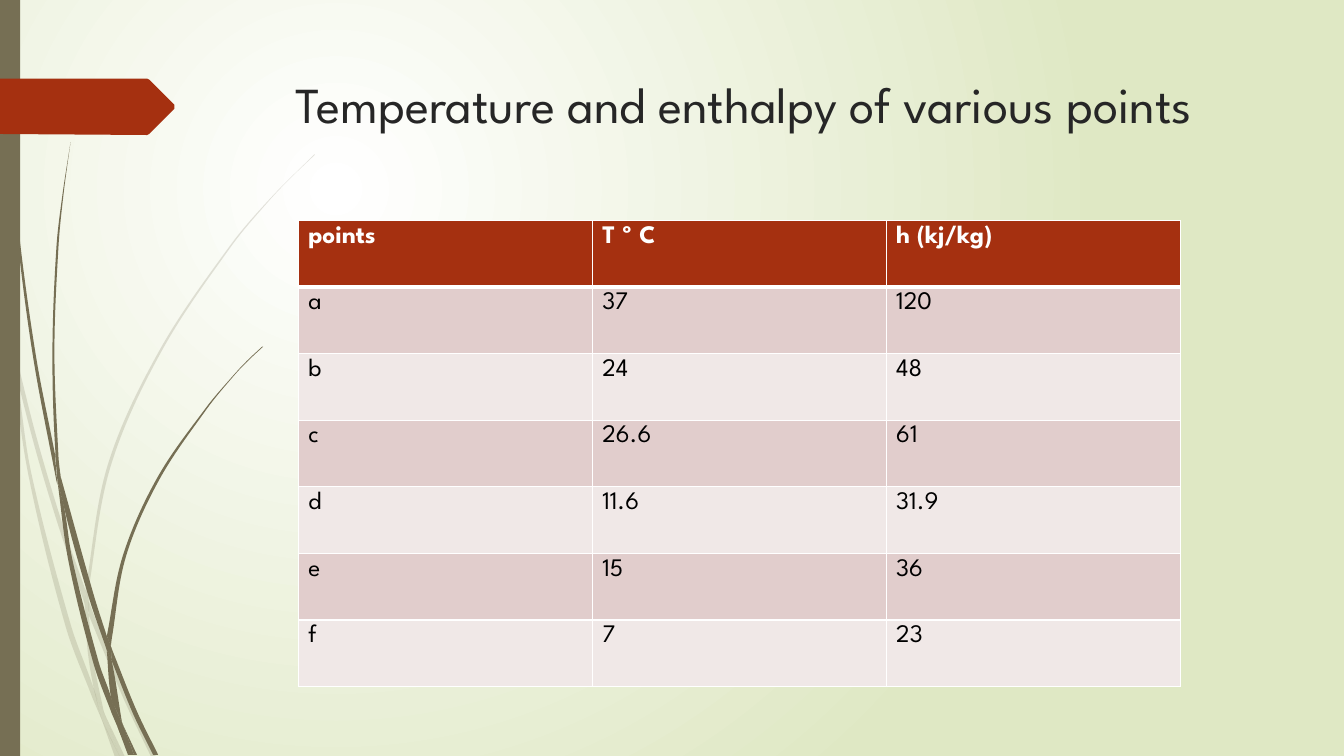
"""Build a slide with a table of temperature and enthalpy at six points."""
from dataclasses import dataclass
from math import dist

from lxml.etree import SubElement
from pptx import Presentation
from pptx.dml.color import RGBColor
from pptx.enum.shapes import MSO_SHAPE
from pptx.enum.text import MSO_ANCHOR
from pptx.oxml.ns import qn
from pptx.util import Pt


@dataclass(frozen=True)
class Theme:
    font: str = "League Spartan"
    title_size: int = 36
    cell_size: int = 18
    title: str = "262626"
    text: str = "000000"
    white: str = "FFFFFF"
    glow_edge: str = "DFE8C4"
    stem: str = "766F54"
    accent: str = "A53010"
    bands: tuple = ("E1CDCC", "F0E8E7")


THEME = Theme()
TITLE = "Temperature and enthalpy of various points"
ROWS = [
    ("points", "T º C", "h (kj/kg)"),
    ("a", "37", "120"),
    ("b", "24", "48"),
    ("c", "26.6", "61"),
    ("d", "11.6", "31.9"),
    ("e", "15", "36"),
    ("f", "7", "23"),
]
TABLE_BOX = (213, 157.5, 630, 333)

# Outlines are lists of smooth edges, on a grid of this many points.
GRID = 0.72
RIBBON = [[(0, 78), (146, 78)], [(148, 79), (173, 104)],
          [(173, 108), (148, 133)], [(146, 134), (0, 133)]]
FAINT_STEMS = [
    [[(0, 282), (9, 322), (11, 350)], [(10, 344), (0, 299)]],
    [[(17, 376), (36, 449), (58, 522), (84, 599)],
     [(85, 586), (62, 520), (36, 433), (14, 345)]],
    [[(88, 596), (92, 607), (127, 692), (155, 751)], [(150, 751), (123, 694), (88, 610)]],
    [[(105, 711), (124, 751)], [(119, 751), (105, 711)]],
    [[(11, 350), (17, 376), (31, 469), (70, 619), (93, 683), (99, 707), (101, 714)],
     [(92, 693), (65, 621), (28, 470), (11, 350)]],
    [[(84, 599), (88, 610), (91, 646), (103, 706), (105, 711)],
     [(96, 692), (93, 683), (87, 646), (84, 599)]],
    [[(312, 153), (268, 197), (228, 244), (158, 348), (107, 461), (85, 584), (85, 586)],
     [(88, 596), (88, 584), (110, 462), (160, 349), (229, 245), (268, 198), (290, 175),
      (312, 154)]],
    [[(101, 714), (114, 751)], [(119, 751), (101, 714)]],
    [[(85, 586), (88, 596), (88, 610)], [(88, 608), (84, 599)]],
    [[(93, 683), (99, 707), (101, 714), (119, 751)], [(105, 711), (96, 692)]],
]
DARK_STEMS = [
    [[(3, 0), (4, 48), (7, 110), (17, 233), (33, 355), (56, 477), (57, 481)],
     [(55, 457), (55, 453), (36, 355), (19, 232), (8, 109), (5, 48), (4, 0)]],
    [[(60, 472), (64, 505), (88, 592), (106, 645)], [(106, 631), (93, 590), (60, 472)]],
    [[(110, 641), (113, 649), (136, 706), (157, 749)], [(152, 749), (132, 708), (111, 656)]],
    [[(57, 477), (64, 505), (72, 556), (98, 657), (110, 691), (116, 717), (117, 722)],
     [(111, 708), (93, 659), (68, 557), (57, 477)]],
    [[(70, 141), (62, 193), (56, 245), (52, 349), (55, 449), (60, 472)],
     [(60, 472), (58, 453), (54, 349), (58, 245), (63, 193), (70, 141)]],
    [[(122, 719), (136, 749)], [(133, 749), (122, 719)]],
    [[(55, 449), (60, 472), (64, 505)], [(57, 477), (55, 453)]],
    [[(260, 344), (245, 358), (231, 373), (204, 405), (156, 474), (122, 551), (106, 631)],
     [(110, 641), (111, 633), (125, 552), (158, 476), (205, 406), (231, 374), (245, 359),
      (261, 344)]],
    [[(117, 722), (127, 749)], [(131, 749), (117, 722)]],
    [[(106, 631), (110, 641), (111, 656)], [(106, 645)]],
    [[(106, 645), (111, 656), (121, 716), (122, 719)], [(116, 706), (110, 691), (106, 645)]],
    [[(110, 691), (116, 706), (122, 719), (133, 749)], [(130, 749), (117, 722), (110, 691)]],
]


def rgb(value):
    """Turn a hex string into a colour."""
    return RGBColor.from_string(value)


def paint(shape, color, opacity=100):
    """Fill a shape without line or shadow."""
    shape.shadow.inherit = False
    shape.line.fill.background()
    shape.fill.solid()
    shape.fill.fore_color.rgb = rgb(color)
    if opacity < 100:
        tint = shape.element.spPr.find(qn("a:solidFill"))[0]
        SubElement(tint, qn("a:alpha"), val=str(opacity * 1000))


def paint_background(page):
    """Give the page a round glow centred in its upper left quarter."""
    fill = page.background.fill
    fill.gradient()
    for stop, color in zip(fill.gradient_stops, (THEME.white, THEME.glow_edge)):
        stop.color.rgb = rgb(color)
    gradient = page.element.find(".//" + qn("a:gradFill"))
    gradient.remove(gradient.find(qn("a:lin")))
    glow = SubElement(gradient, qn("a:path"), path="circle")
    SubElement(glow, qn("a:fillToRect"), l="50000", t="50000", r="100000", b="100000")


def handle(before, knot, after, reach):
    """Find the control point beside a knot, along its neighbours' direction."""
    share = reach / 3 / (dist(before, after) or 1)
    return tuple(k + (a - b) * share for b, k, a in zip(before, knot, after))


def curve_points(edge):
    """List two controls and an end for each stretch of a smooth edge."""
    padded = [edge[0], *edge, edge[-1]]
    points = []
    for before, start, end, after in zip(padded, padded[1:], padded[2:], padded[3:]):
        reach = dist(start, end)
        points += [handle(before, start, end, reach), handle(after, end, start, reach), end]
    return points


def add_outline(shapes, edges, color, opacity=100):
    """Draw a closed outline of curved edges joined by straight lines."""
    points = curve_points(edges[0])
    for edge in edges[1:]:
        points += [points[-1], edge[0], edge[0], *curve_points(edge)]
    start, *rest = [(Pt(x * GRID), Pt(y * GRID)) for x, y in [edges[0][0], *points]]
    builder = shapes.build_freeform(*start)
    builder.add_line_segments(rest, close=True)
    shape = builder.convert_to_shape()
    outline = shape.element.find(".//" + qn("a:path"))
    lines = outline.findall(qn("a:lnTo"))
    for first in range(0, len(lines), 3):
        curve = SubElement(outline, qn("a:cubicBezTo"))
        lines[first].addprevious(curve)
        for line in lines[first:first + 3]:
            curve.append(line[0])
            outline.remove(line)
    paint(shape, color, opacity)


def add_title(page):
    """Place the title."""
    box = page.shapes.add_textbox(Pt(204.2), Pt(49), Pt(702), Pt(100.8))
    frame = box.text_frame
    frame.word_wrap = True
    frame.vertical_anchor = MSO_ANCHOR.TOP
    write(frame.paragraphs[0], TITLE, THEME.title_size, THEME.title)


def write(paragraph, text, size, color, bold=False):
    """Set a paragraph's text and font."""
    paragraph.text = text
    font = paragraph.font
    font.name, font.size, font.bold = THEME.font, Pt(size), bold
    font.color.rgb = rgb(color)


def add_borders(cell, bottom):
    """Draw the four white borders of a cell."""
    properties = cell._tc.get_or_add_tcPr()
    widths = {"lnL": 1, "lnR": 1, "lnT": 1, "lnB": bottom}
    for place, (side, width) in enumerate(widths.items()):
        line = SubElement(properties, qn("a:" + side), w=str(Pt(width)))
        SubElement(SubElement(line, qn("a:solidFill")), qn("a:srgbClr"), val=THEME.white)
        properties.insert(place, line)


def add_points_table(page):
    """Place the table with a header row and banded body rows."""
    left, top, width, height = map(Pt, TABLE_BOX)
    table = page.shapes.add_table(len(ROWS), len(ROWS[0]), left, top, width, height).table
    for row_number, values in enumerate(ROWS):
        header = row_number == 0
        fill = THEME.accent if header else THEME.bands[(row_number - 1) % 2]
        for column_number, value in enumerate(values):
            cell = table.cell(row_number, column_number)
            cell.fill.solid()
            cell.fill.fore_color.rgb = rgb(fill)
            add_borders(cell, 3 if header else 1)
            write(cell.text_frame.paragraphs[0], value, THEME.cell_size,
                  THEME.white if header else THEME.text, header)


def main():
    """Build and save the deck."""
    deck = Presentation()
    deck.slide_width, deck.slide_height = Pt(960), Pt(540)
    page = deck.slides.add_slide(deck.slide_layouts[6])
    paint_background(page)
    for stems, opacity in ((FAINT_STEMS, 20), (DARK_STEMS, 100)):
        tuft = page.shapes.add_group_shape()
        for edges in stems:
            add_outline(tuft.shapes, edges, THEME.stem, opacity)
    bar = page.shapes.add_shape(MSO_SHAPE.RECTANGLE, 0, 0, Pt(14.4), Pt(540))
    paint(bar, THEME.stem)
    add_outline(page.shapes, RIBBON, THEME.accent)
    add_title(page)
    add_points_table(page)
    deck.save("out.pptx")


if __name__ == "__main__":
    main()
